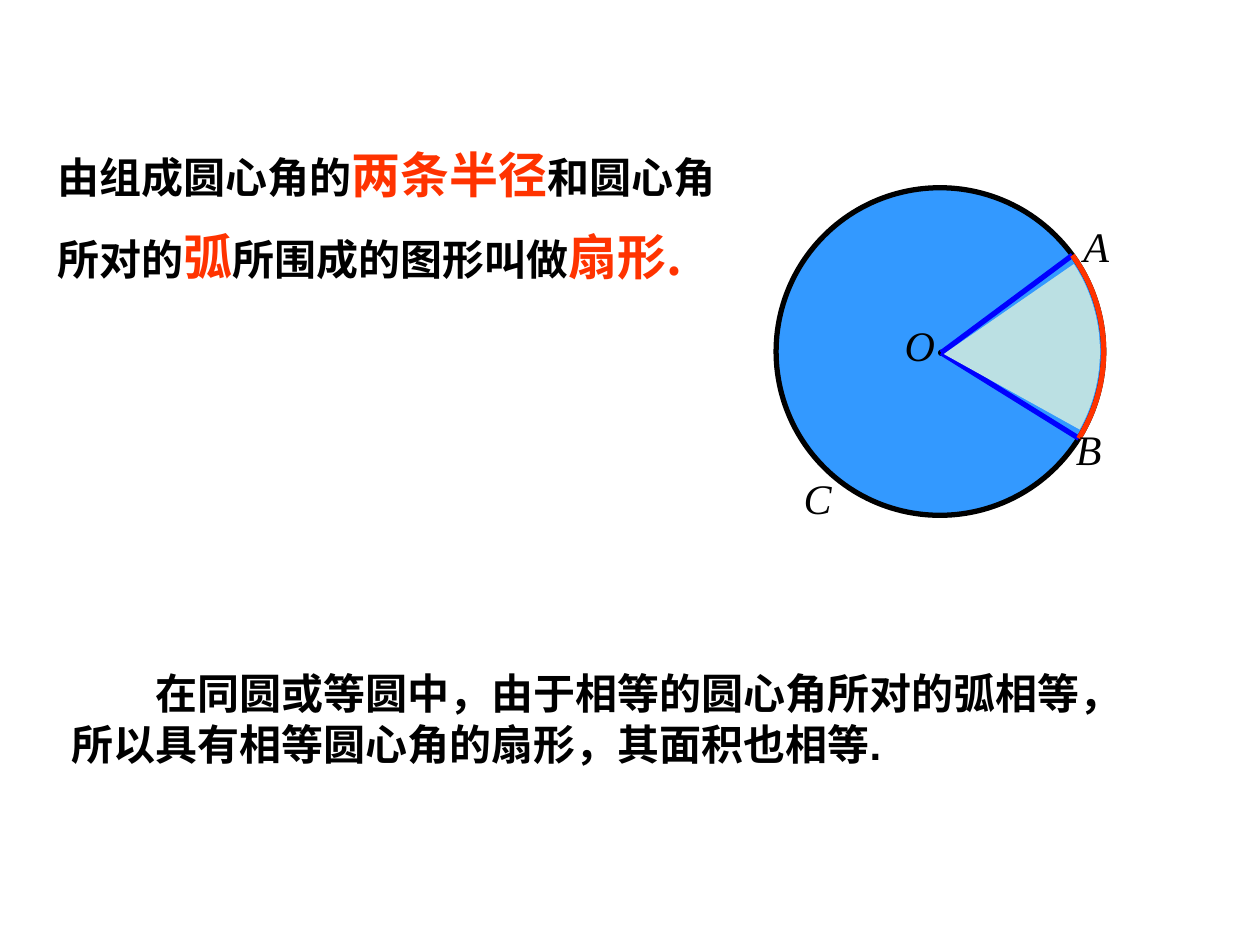
import math

from lxml import etree
from pptx import Presentation
from pptx.dml.color import RGBColor
from pptx.enum.shapes import MSO_CONNECTOR, MSO_SHAPE
from pptx.enum.text import MSO_AUTO_SIZE, PP_ALIGN
from pptx.oxml.ns import qn
from pptx.util import Inches, Pt

LINE = MSO_CONNECTOR.STRAIGHT
OVAL = MSO_SHAPE.OVAL
FIT = MSO_AUTO_SIZE.SHAPE_TO_FIT_TEXT
CENTER = PP_ALIGN.CENTER

BLACK = RGBColor(0x00, 0x00, 0x00)
DISC_BLUE = RGBColor(0x33, 0x99, 0xFF)
RADIUS_BLUE = RGBColor(0x00, 0x00, 0xFF)
RED = RGBColor(0xFF, 0x33, 0x00)
SECTOR = RGBColor(0xBB, 0xE0, 0xE3)
SANS, CJK, SERIF = "Arial", "Noto Sans CJK SC", "Times New Roman"


def style(sp, fill=None, line=None, width=3):
    sp.shadow.inherit = False
    if fill is None:
        sp.fill.background()
    else:
        sp.fill.solid()
        sp.fill.fore_color.rgb = fill
    if line is None:
        sp.line.fill.background()
    else:
        sp.line.color.rgb = line
        sp.line.width = Pt(width)


def add_circle(s, left, top, size, **look):
    sp = s.shapes.add_shape(OVAL, Inches(left), Inches(top), Inches(size), Inches(size))
    style(sp, **look)


def add_path(s, points, close, **look):
    points = [(Inches(x), Inches(y)) for x, y in points]
    fb = s.shapes.build_freeform(*points[0])
    fb.add_line_segments(points[1:], close=close)
    style(fb.convert_to_shape(), **look)


def add_radius(s, start, end):
    c = s.shapes.add_connector(LINE, *(Inches(v) for v in start + end))
    c.line.color.rgb = RADIUS_BLUE
    c.line.width = Pt(3)
    etree.SubElement(c._element.spPr, qn("a:effectLst"))


def add_text_frame(s, left, top, width, height):
    box = s.shapes.add_textbox(Inches(left), Inches(top), Inches(width), Inches(height))
    tf = box.text_frame
    tf.word_wrap = False
    tf.auto_size = FIT
    return tf


def add_run(p, text, font=SANS, size=24, color=BLACK, bold=True):
    r = p.add_run()
    r.text = text
    r.font.size = Pt(size)
    r.font.bold = bold
    r.font.color.rgb = color
    r.font.name = font
    etree.SubElement(r._r.get_or_add_rPr(), qn("a:ea")).set("typeface", CJK)
    return r


def definition(s, left, top, width, height):
    """Lines of (text, is key term) pairs; key terms are larger and red."""
    lines = [
        [("由组成圆心角的", False), ("两条半径", True), ("和圆心角", False)],
        [("所对的", False), ("弧", True), ("所围成的图形叫做", False), ("扇形.", True)],
    ]
    tf = add_text_frame(s, left, top, width, height)
    for i, line in enumerate(lines):
        p = tf.add_paragraph() if i else tf.paragraphs[0]
        p.line_spacing = 1.4
        for text, key in line:
            if key:
                add_run(p, text, CJK, 28, RED)
            else:
                add_run(p, text)


def conclusion(s, left, top, width, height):
    tf = add_text_frame(s, left, top, width, height)
    p = tf.paragraphs[0]
    p._p.get_or_add_pPr().set("indent", str(Pt(48)))
    add_run(p, "在同圆或等圆中，由于相等的圆心角所对的弧相等，")
    add_run(tf.add_paragraph(), "所以具有相等圆心角的扇形，其面积也相等.")


def circle_diagram(s, left, top, size):
    """Circle O with radii OA and OB, arc AB and the shaded sector."""
    r = size / 2
    cx, cy = left + r, top + r

    def on_circle(degrees, radius=r):
        a = math.radians(degrees)
        return cx + radius * math.cos(a), cy + radius * math.sin(a)

    start, end, steps = -36, 32, 24
    angles = [start + (end - start) * i / steps for i in range(steps + 1)]
    center = (cx + 0.01, cy + 0.01)

    add_circle(s, left, top, size, fill=DISC_BLUE, line=BLACK)
    add_circle(s, cx - 0.01, cy - 0.01, 0.04, fill=BLACK, line=BLACK, width=0.75)
    for angle in (start, end):
        add_radius(s, center, on_circle(angle))
    add_path(s, [on_circle(a) for a in angles], False, line=RED)
    inner = [on_circle(a, r - 0.03) for a in angles[1:-1]]
    add_path(s, [(cx + 0.03, cy + 0.02)] + inner, True, fill=SECTOR)

    labels = [("A", 2.34, 0.21, 0.4), ("B", 2.28, 1.82, 0.4),
              ("O", 0.92, 1.0, 0.44), ("C", 0.12, 2.21, 0.42)]
    for text, dx, dy, width in labels:
        p = add_text_frame(s, left + dx, top + dy, width, 0.5).paragraphs[0]
        p.alignment = CENTER
        add_run(p, text, SERIF, bold=False).font.italic = True


def main():
    prs = Presentation()
    prs.slide_width, prs.slide_height = Inches(10), Inches(7.5)
    s = prs.slides.add_slide(prs.slide_layouts[6])
    definition(s, 0.36, 0.91, 5.78, 1.41)
    circle_diagram(s, 6.16, 1.49, 2.6)
    conclusion(s, 0.47, 5.25, 8.53, 0.9)
    prs.save("out.pptx")


if __name__ == "__main__":
    main()
